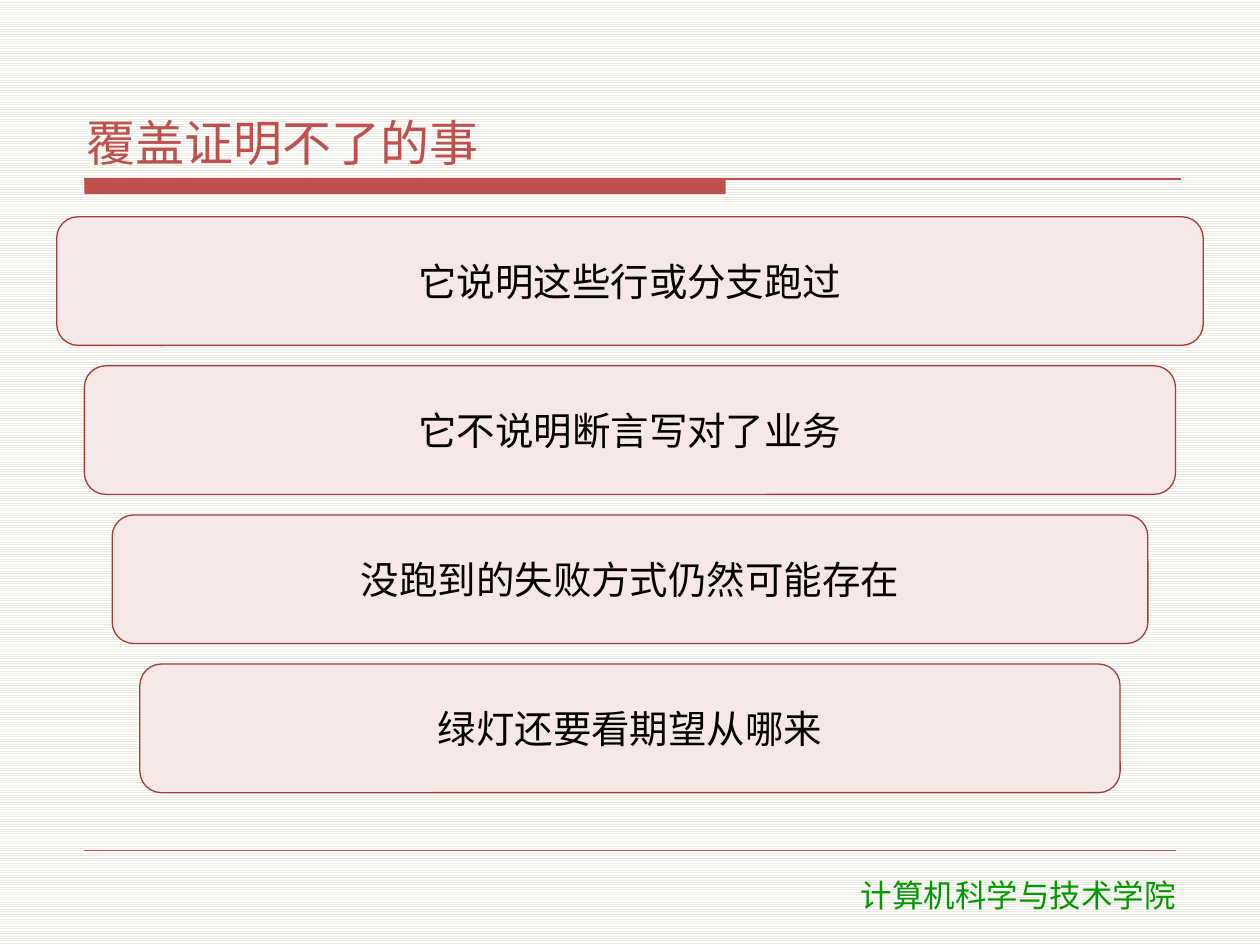
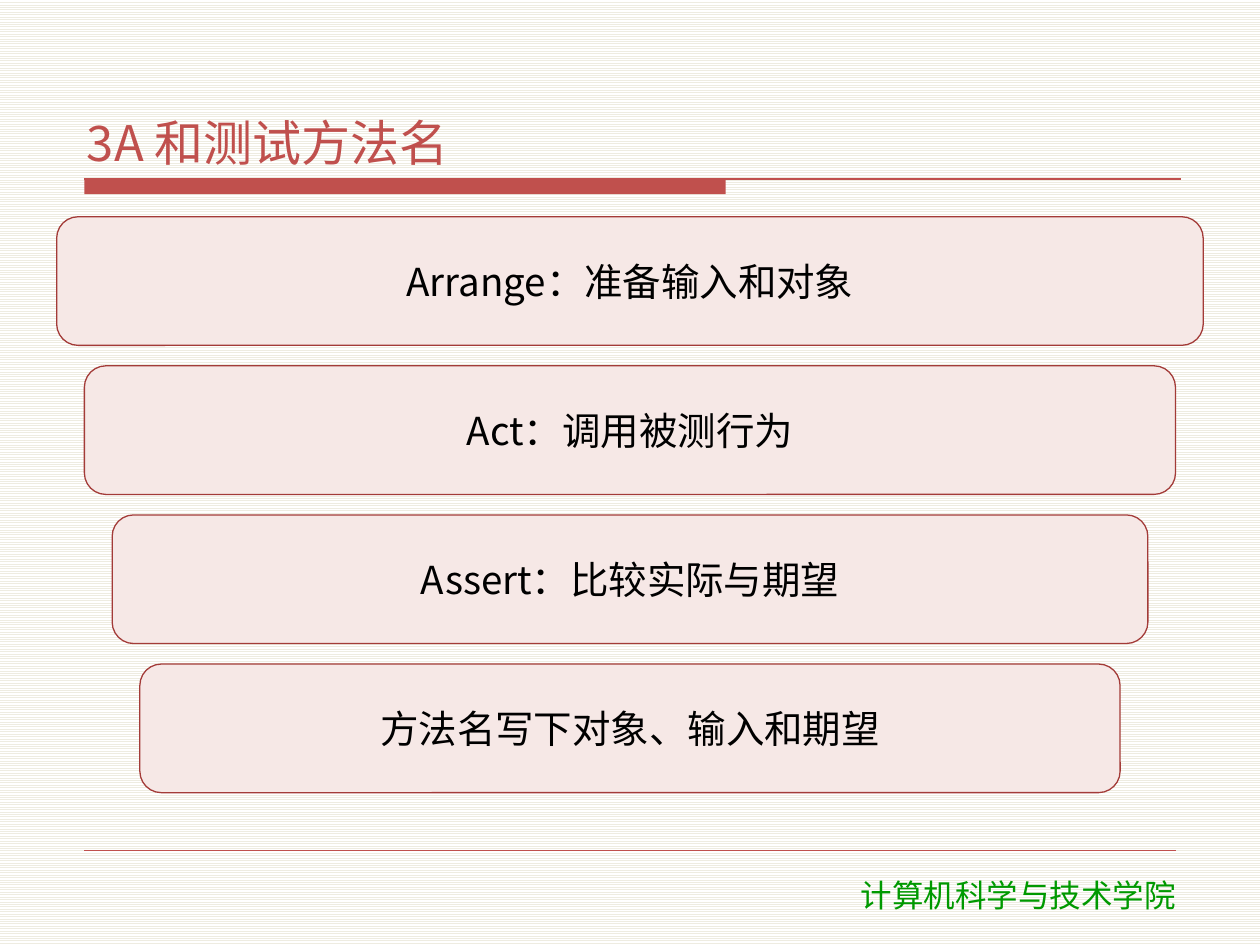
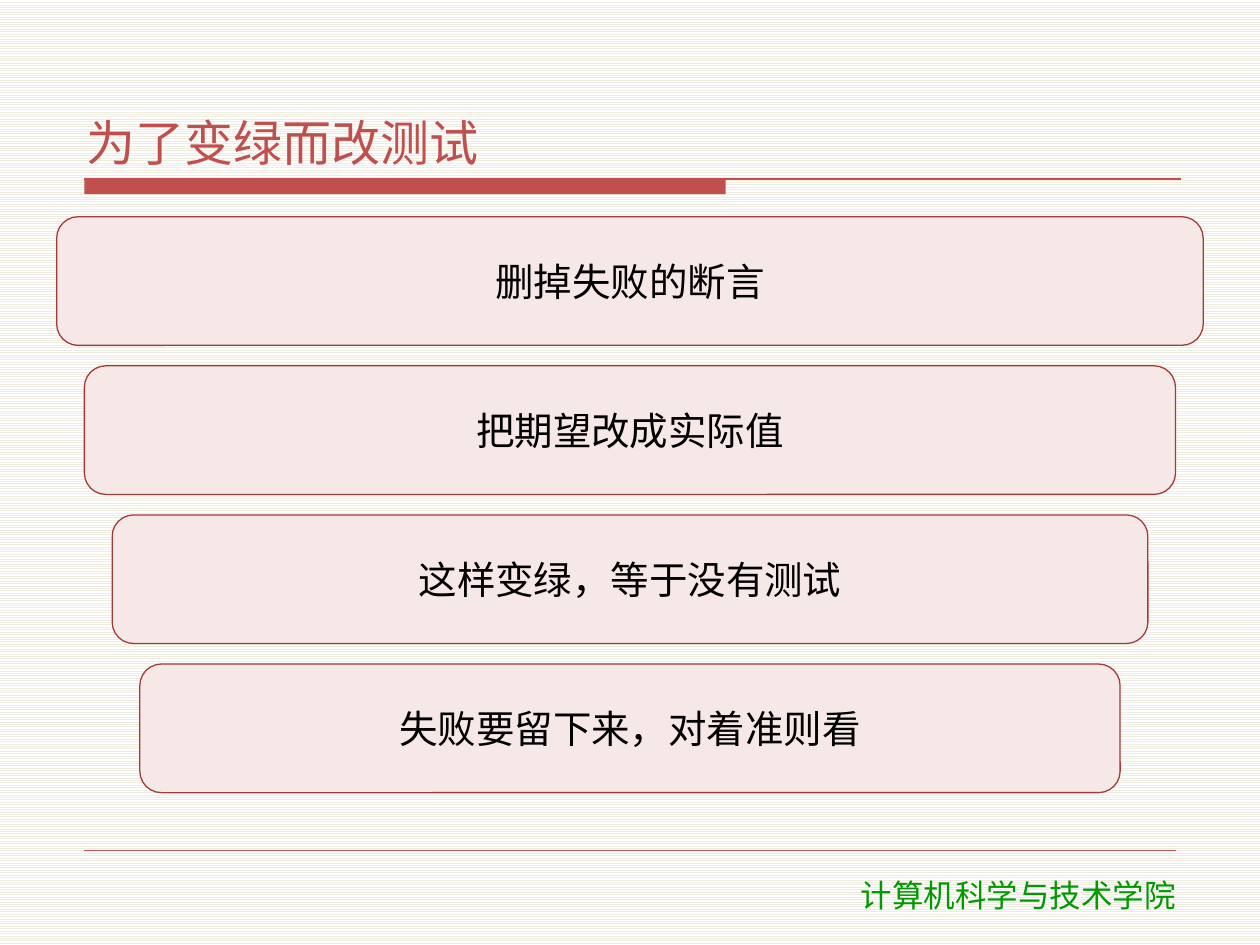
from typing import NamedTuple

from lxml.etree import SubElement
from pptx import Presentation
from pptx.dml.color import RGBColor
from pptx.enum.dml import MSO_PATTERN
from pptx.enum.shapes import MSO_CONNECTOR, MSO_SHAPE
from pptx.enum.text import MSO_ANCHOR as Anchor, MSO_AUTO_SIZE as AutoSize, PP_ALIGN as Align
from pptx.oxml.ns import qn
from pptx.util import Pt

COLORS = {
    "accent": "C0504D",
    "card_fill": "F6E8E6",
    "card_line": "A33B38",
    "card_text": "000000",
    "school": "009900",
    "stripe": "EEECE1",
    "paper": "FFFFFF",
}
CJK_FONT = "Noto Sans CJK SC"
SCHOOL_FONT = "DejaVu Sans"
SCHOOL = "计算机科学与技术学院"

SLIDE_WIDTH, SLIDE_HEIGHT = 720, 540
MARGIN = 48.24
RULE_TOP = 102.24
CARD_LEFT, CARD_TOP, CARD_HEIGHT = 32.4, 123.84, 73.5
CARD_INDENT, CARD_PITCH = 15.84, 85.2


class Topic(NamedTuple):
    title: str
    points: tuple[str, ...]


class TextStyle(NamedTuple):
    size: float
    color: str
    align: Align
    font: str = CJK_FONT
    space_after: float = 2


TITLE_STYLE = TextStyle(28, "accent", Align.LEFT)
CARD_STYLE = TextStyle(22, "card_text", Align.CENTER)
SCHOOL_STYLE = TextStyle(18, "school", Align.CENTER, SCHOOL_FONT, 0)

TOPICS = (
    Topic("覆盖证明不了的事", (
        "它说明这些行或分支跑过",
        "它不说明断言写对了业务",
        "没跑到的失败方式仍然可能存在",
        "绿灯还要看期望从哪来",
    )),
    Topic("3A 和测试方法名", (
        "Arrange：准备输入和对象",
        "Act：调用被测行为",
        "Assert：比较实际与期望",
        "方法名写下对象、输入和期望",
    )),
    Topic("为了变绿而改测试", (
        "删掉失败的断言",
        "把期望改成实际值",
        "这样变绿，等于没有测试",
        "失败要留下来，对着准则看",
    )),
)


def rgb(name: str) -> RGBColor:
    return RGBColor.from_string(COLORS[name])


def write(frame, text: str, style: TextStyle) -> None:
    frame.text = text
    paragraph = frame.paragraphs[0]
    paragraph.alignment = style.align
    paragraph.space_before = Pt(0)
    paragraph.space_after = Pt(style.space_after)
    font = paragraph.font
    font.size = Pt(style.size)
    font.name = style.font
    font.color.rgb = rgb(style.color)
    defaults = paragraph._p.pPr.find(qn("a:defRPr"))
    SubElement(defaults, qn("a:ea")).set("typeface", CJK_FONT)


def set_frame(frame, anchor: Anchor) -> None:
    """Give titles and cards the same narrow insets and fixed size."""
    frame.word_wrap = True
    frame.auto_size = AutoSize.NONE
    frame.vertical_anchor = anchor
    frame.margin_left = frame.margin_right = Pt(4.32)
    frame.margin_top = frame.margin_bottom = Pt(1.44)


def add_rule(slide, left: float, right: float, y: float, weight: float) -> None:
    rule = slide.shapes.add_connector(
        MSO_CONNECTOR.STRAIGHT, Pt(left), Pt(y), Pt(right), Pt(y))
    rule.line.color.rgb = rgb("accent")
    rule.line.width = Pt(weight)
    SubElement(rule._element.spPr, qn("a:effectLst"))


def add_frame(slide) -> None:
    """Draw the title bar, the two rules and the school name."""
    bar = slide.shapes.add_shape(
        MSO_SHAPE.RECTANGLE, Pt(MARGIN), Pt(RULE_TOP), Pt(366.48), Pt(8.64))
    bar.shadow.inherit = False
    bar.fill.solid()
    bar.fill.fore_color.rgb = rgb("accent")
    bar.line.fill.background()
    add_rule(slide, MARGIN, 674.64, RULE_TOP, 0.75)
    add_rule(slide, MARGIN, SLIDE_WIDTH - MARGIN, 486, 0.25)
    school = slide.shapes.add_textbox(Pt(437.04), Pt(496.8), Pt(289.44), Pt(28.8)).text_frame
    school.word_wrap = True
    school.auto_size = AutoSize.SHAPE_TO_FIT_TEXT
    write(school, SCHOOL, SCHOOL_STYLE)


def set_title(slide, text: str) -> None:
    title = slide.shapes.title
    title.left, title.top = Pt(45.36), Pt(23.76)
    title.width, title.height = Pt(630), Pt(75.6)
    set_frame(title.text_frame, Anchor.BOTTOM)
    write(title.text_frame, text, TITLE_STYLE)


def add_card(slide, row: int, text: str) -> None:
    """Add a centred card, each row narrower than the one above."""
    left = CARD_LEFT + row * CARD_INDENT
    card = slide.shapes.add_shape(
        MSO_SHAPE.ROUNDED_RECTANGLE, Pt(left), Pt(CARD_TOP + row * CARD_PITCH),
        Pt(SLIDE_WIDTH - 2 * left), Pt(CARD_HEIGHT))
    card.shadow.inherit = False
    card.fill.solid()
    card.fill.fore_color.rgb = rgb("card_fill")
    card.line.color.rgb = rgb("card_line")
    card.line.width = Pt(0.75)
    set_frame(card.text_frame, Anchor.MIDDLE)
    write(card.text_frame, text, CARD_STYLE)


def main() -> None:
    deck = Presentation()
    deck.slide_width, deck.slide_height = Pt(SLIDE_WIDTH), Pt(SLIDE_HEIGHT)
    paper = deck.slide_master.background.fill
    paper.patterned()
    paper.pattern = MSO_PATTERN.LIGHT_HORIZONTAL
    paper.fore_color.rgb = rgb("stripe")
    paper.back_color.rgb = rgb("paper")
    title_only = deck.slide_layouts.get_by_name("Title Only")
    for topic in TOPICS:
        slide = deck.slides.add_slide(title_only)
        add_frame(slide)
        set_title(slide, topic.title)
        for row, point in enumerate(topic.points):
            add_card(slide, row, point)
    deck.save("out.pptx")


if __name__ == "__main__":
    main()
